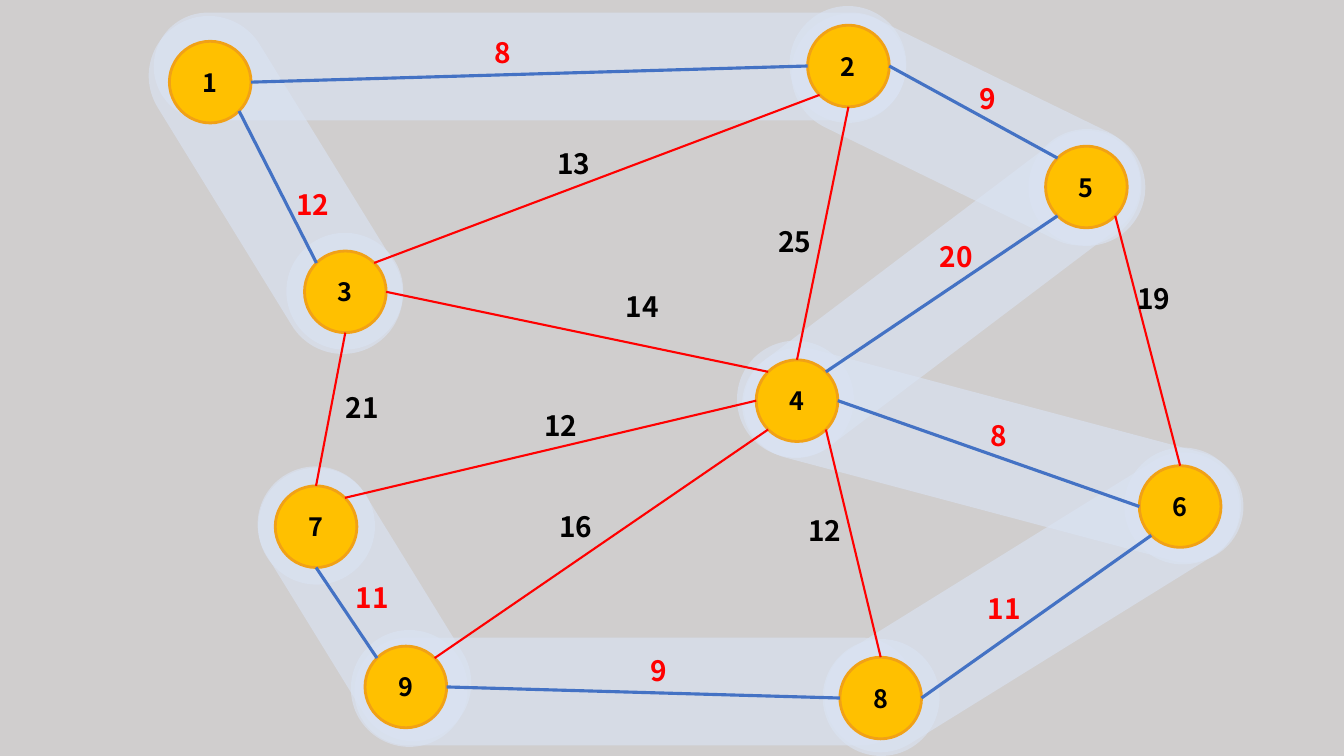
import math

import lxml.etree
import pptx
import pptx.dml.color
import pptx.enum.shapes
import pptx.enum.text
import pptx.oxml.ns
import pptx.util
from pptx.util import Inches

# Content: node number -> left, top
NODES = {
    1: (1.68, 0.41), 2: (8.01, 0.25), 3: (3.02, 2.49),
    4: (7.5, 3.57), 5: (10.37, 1.45), 6: (11.3, 4.62),
    7: (2.73, 4.82), 8: (8.33, 6.52), 9: (3.62, 6.41),
}

# From node, side, to node, side, weight, label left, label top, in tree
EDGES = [
    (1, "E", 2, "W", 8, 4.81, 0.3, True),
    (1, "SE", 3, "NW", 12, 2.84, 1.81, True),
    (8, "N", 4, "SE", 12, 7.92, 5.05, False),
    (2, "S", 4, "N", 25, 7.62, 2.18, False),
    (4, "SW", 9, "NE", 16, 5.45, 5.01, False),
    (7, "N", 3, "S", 21, 3.33, 3.82, False),
    (5, "NW", 2, "E", 9, 9.62, 0.76, True),
    (3, "E", 4, "NW", 14, 6.11, 2.82, False),
    (3, "NE", 2, "SW", 13, 5.43, 1.4, False),
    (7, "NE", 4, "W", 12, 5.3, 4, False),
    (4, "E", 6, "W", 8, 9.73, 4.1, True),
    (5, "SW", 4, "NE", 20, 9.22, 2.33, True),
    (5, "SE", 6, "N", 19, 11.18, 2.74, False),
    (8, "E", 6, "SW", 11, 9.7, 5.82, True),
    (7, "S", 9, "NW", 11, 3.43, 5.71, True),
    (9, "E", 8, "W", 9, 6.35, 6.43, True),
]

# Band left, top, width, length, rotation; then left, top of its halo
BANDS = [
    ((3.04, 4.49, 1.15, 3, 328.4), (2.56, 4.64)),
    ((5.76, 4.08, 1.07, 5.56, 270), (3.48, 6.25)),
    ((9.68, 3.65, 1.11, 4.65, 238.2), (8.16, 6.34)),
    ((9.3, 1.97, 1.11, 5.09, 284.9), (11.15, 4.44)),
    ((8.8, 0.58, 1.07, 4.68, 232.9), (7.31, 3.38)),
    ((8.99, -0.58, 1.19, 3.73, 296), (10.2, 1.28)),
    ((4.72, -3.07, 1.07, 7.46, 270), (7.83, 0.06)),
    ((2.14, -0.03, 1.19, 3.73, 328.4), (2.84, 2.31)),
]

THEME = {
    "font": "Noto Sans CJK KR",
    "background": "D0CECE", "band": "DAE3F3", "band_alpha": 63,
    "node": "FFC000", "node_line": "F1A116", "node_line_width": 2,
    "tree": "4472C4", "tree_width": 2.25,
    "other": "FF0000", "other_width": 1.5,
    "text": "000000", "tree_text": "FF0000",
    "node_size": 18, "weight_size": 20,
}
NODE_SIZE, HALO_SIZE = 0.81, 1.16
LABEL_HEIGHT, LABEL_WIDTHS = 0.44, {1: 0.36, 2: 0.53}
COMPASS = ["E", "SE", "S", "SW", "W", "NW", "N", "NE"]
SHAPES = pptx.enum.shapes.MSO_SHAPE


def color(name):
    return pptx.dml.color.RGBColor.from_string(THEME[name])


def add_filled(page, kind, left, top, width, height, fill):
    shape = page.shapes.add_shape(
        kind, Inches(left), Inches(top), Inches(width), Inches(height))
    shape.shadow.inherit = False
    shape.fill.solid()
    shape.fill.fore_color.rgb = color(fill)
    return shape


def add_highlight(page, kind, left, top, width, height):
    shape = add_filled(page, kind, left, top, width, height, "band")
    shape.line.fill.background()
    qn = pptx.oxml.ns.qn
    tint = shape.element.spPr.find(qn("a:solidFill")).find(qn("a:srgbClr"))
    alpha = lxml.etree.SubElement(tint, qn("a:alpha"))
    alpha.set("val", str(THEME["band_alpha"] * 1000))
    return shape


def write(para, text, size, ink):
    para.text = str(text)
    para.font.name = THEME["font"]
    para.font.size = pptx.util.Pt(THEME[size])
    para.font.bold = True
    para.font.color.rgb = color(ink)


def add_node(page, number, left, top):
    node = add_filled(page, SHAPES.OVAL, left, top, NODE_SIZE, NODE_SIZE, "node")
    node.line.color.rgb = color("node_line")
    node.line.width = pptx.util.Pt(THEME["node_line_width"])
    node.text_frame.vertical_anchor = pptx.enum.text.MSO_ANCHOR.MIDDLE
    para = node.text_frame.paragraphs[0]
    para.alignment = pptx.enum.text.PP_ALIGN.CENTER
    write(para, number, "node_size", "text")


def rim_point(number, side):
    """Point on a node's rim in a compass direction."""
    angle = math.radians(45 * COMPASS.index(side))
    left, top = NODES[number]
    radius = NODE_SIZE / 2
    return (Inches(left + radius + radius * math.cos(angle)),
            Inches(top + radius + radius * math.sin(angle)))


def add_edge(page, start, end, kind):
    edge = page.shapes.add_connector(
        pptx.enum.shapes.MSO_CONNECTOR.STRAIGHT, *start, *end)
    edge.line.color.rgb = color(kind)
    edge.line.width = pptx.util.Pt(THEME[kind + "_width"])
    lxml.etree.SubElement(edge.element.spPr, pptx.oxml.ns.qn("a:effectLst"))


def add_weight(page, weight, left, top, ink):
    width = LABEL_WIDTHS[len(str(weight))]
    box = page.shapes.add_textbox(
        Inches(left), Inches(top), Inches(width), Inches(LABEL_HEIGHT))
    box.text_frame.word_wrap = False
    box.text_frame.auto_size = pptx.enum.text.MSO_AUTO_SIZE.SHAPE_TO_FIT_TEXT
    write(box.text_frame.paragraphs[0], weight, "weight_size", ink)


def main():
    deck = pptx.Presentation()
    deck.slide_width, deck.slide_height = Inches(13.33), Inches(7.5)
    page = deck.slides.add_slide(deck.slide_layouts[6])
    page.background.fill.solid()
    page.background.fill.fore_color.rgb = color("background")

    # Translucent bands along the spanning tree
    for (left, top, width, length, rotation), halo in BANDS:
        band = add_highlight(
            page, SHAPES.ROUNDED_RECTANGLE, left, top, width, length)
        band.adjustments[0] = 0.5
        band.rotation = rotation
        add_highlight(page, SHAPES.OVAL, *halo, HALO_SIZE, HALO_SIZE)

    # Nodes
    for number, (left, top) in NODES.items():
        add_node(page, number, left, top)

    # Edges with their weights
    for first, side, second, far_side, weight, left, top, in_tree in EDGES:
        add_edge(page, rim_point(first, side), rim_point(second, far_side),
                 "tree" if in_tree else "other")
        add_weight(page, weight, left, top, "tree_text" if in_tree else "text")

    deck.save("out.pptx")


if __name__ == "__main__":
    main()
